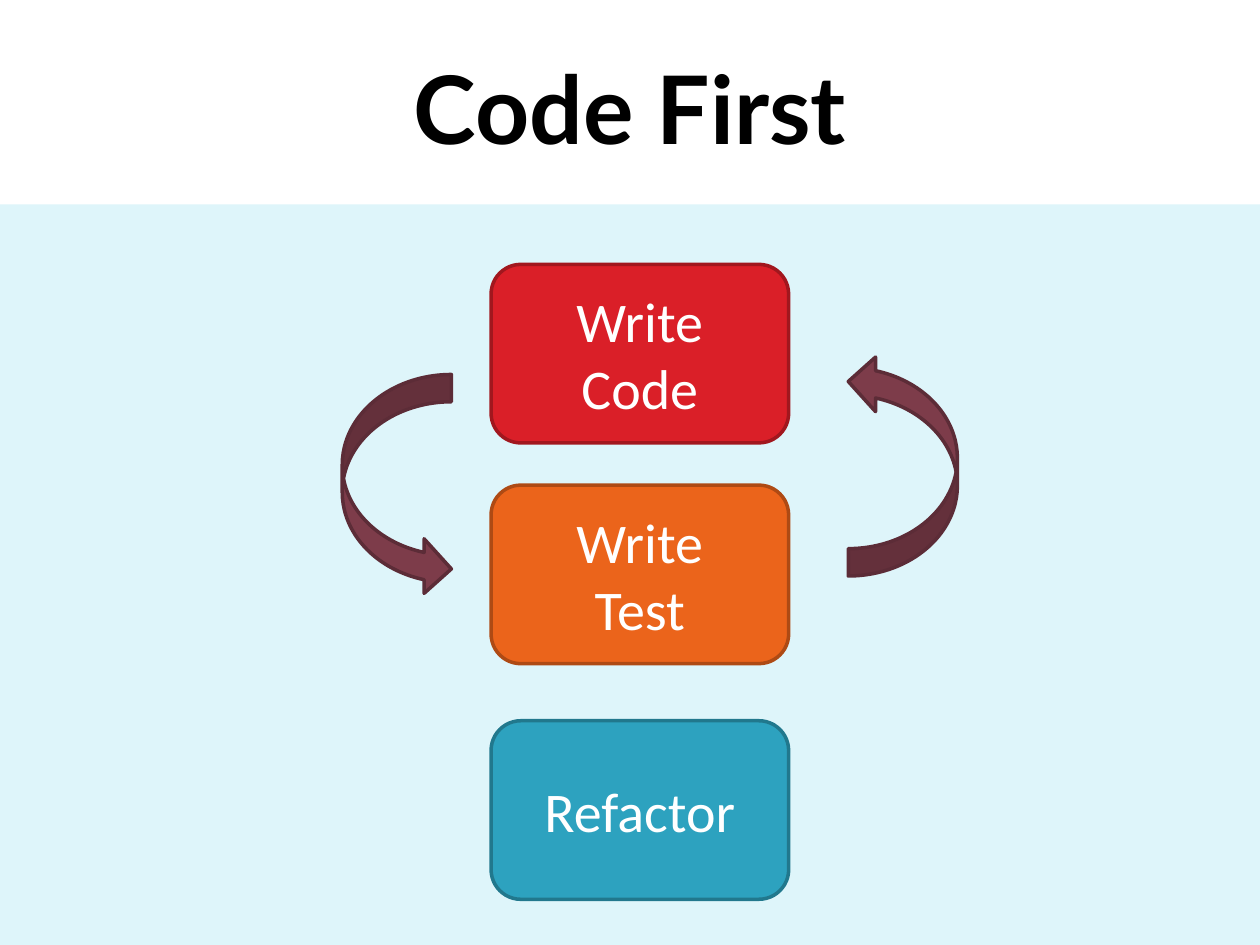
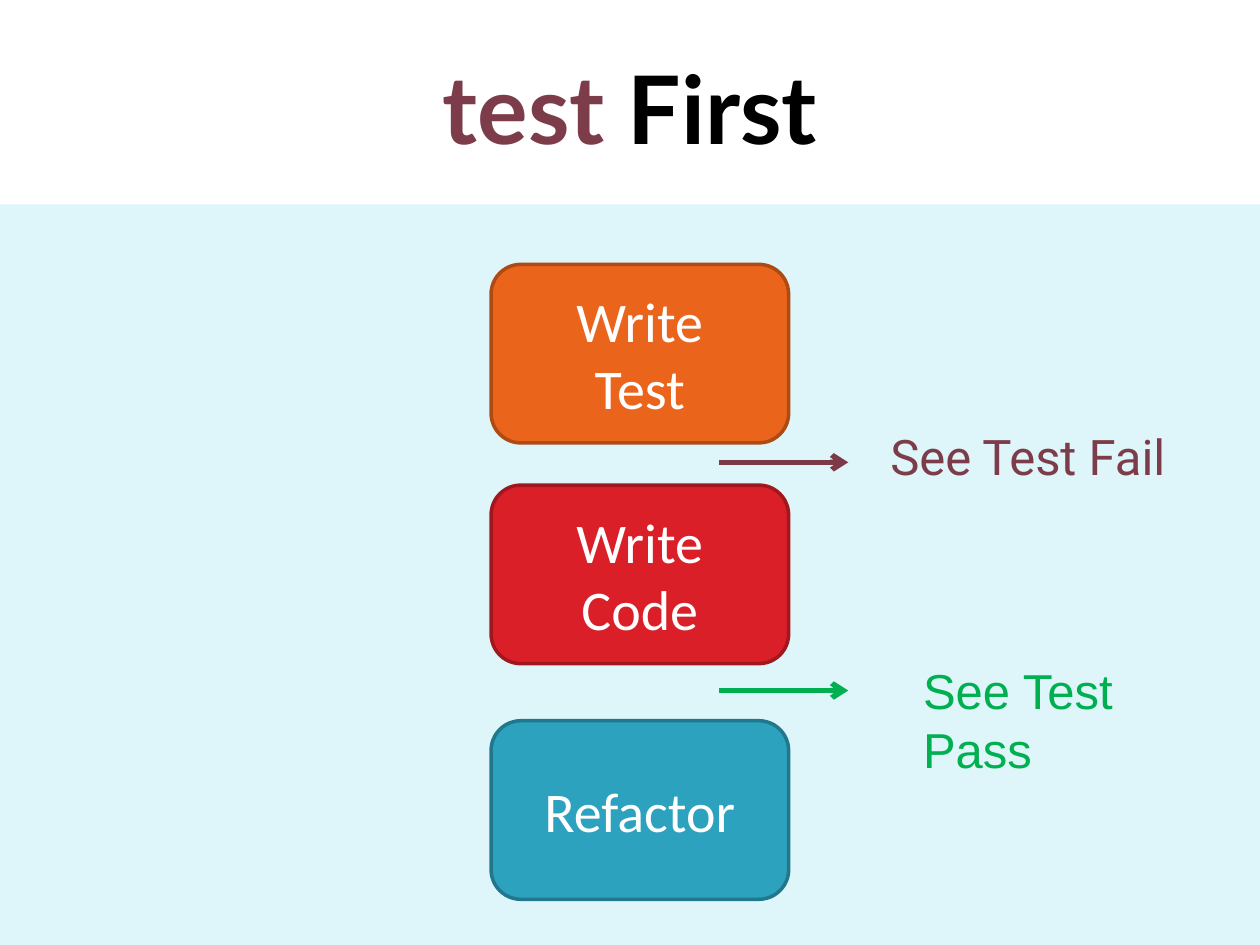
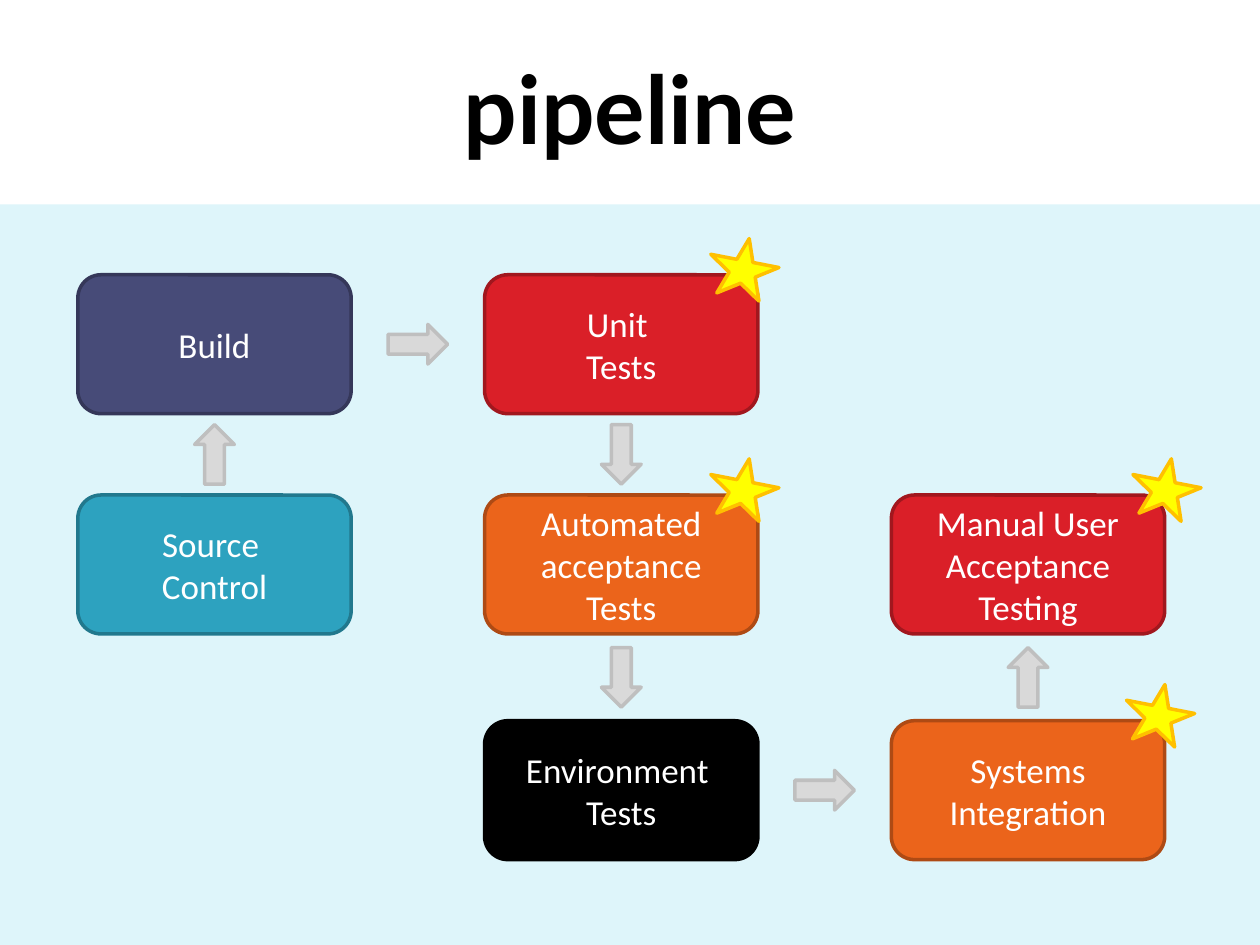
from lxml.etree import SubElement
from pptx import Presentation
from pptx.dml.color import RGBColor
from pptx.enum.shapes import MSO_CONNECTOR, MSO_SHAPE
from pptx.enum.text import MSO_ANCHOR, PP_ALIGN
from pptx.oxml.ns import qn
from pptx.util import Cm, Pt

WIDE, HIGH = 25.4, 19.05
BAND_TOP = 4.12
BLACK, WHITE, PALE, WINE = "000000", "FFFFFF", "DEF5FA", "7D3C4A"

# Fill and outline
RED = ("DA1F28", "A1171E")
ORANGE = ("EB641B", "AE4A14")
TEAL = ("2DA2BF", "21788D")
NAVY = ("474B78", "353759")
DARK = (BLACK, BLACK)
PLUM = (WINE, "5C2C37")
GREY = ("D9D9D9", "BFBFBF")
GOLD = ("FFFF00", "FFC000")

# Steps of the two cycles, top to bottom
CODE = (["Write", "Code"], RED)
TEST = (["Write", "Test"], ORANGE)
TIDY = (["Refactor"], TEAL)
STEP_LEFT, STEP_TOPS, STEP_SIZE = 9.9, (5.33, 9.78, 14.53), (6, 3.6)

# Left, top, turn
LOOPS = [(6.9, 7.55, 0), (17.1, 7.14, 180)]

# Arrow height and colour, then text, left, top, width, font and colour
RESULTS = [
    (9.32, "7C3947", "See Test Fail", 17.7, 8.48, 6.53, "Roboto", WINE),
    (13.92, "00B050", "See Test Pass", 18.36, 13.2, 5.23, "Arial", "00B050"),
]

# Column, row, lines, colours, star offset from the left of the box
STAGES = {
    "source": (0, 1, ["Source ", "Control"], TEAL, None),
    "build": (0, 0, ["Build"], NAVY, None),
    "unit": (1, 0, ["Unit ", "Tests"], RED, 4.52),
    "auto": (1, 1, ["Automated acceptance", "Tests"], ORANGE, 4.52),
    "env": (1, 2, ["Environment ", "Tests"], DARK, None),
    "systems": (2, 2, ["Systems Integration"], ORANGE, 4.7),
    "manual": (2, 1, ["Manual User Acceptance Testing"], RED, 4.83),
}
STAGE_LEFT, STAGE_STEP = 1.57, 8.2
STAGE_TOPS, STAGE_SIZE = (5.54, 9.98, 14.53), (5.51, 2.8)
ARROW, STAR, STAR_RISE = (1.2, 0.8), (1.4, 1.2), 0.74


def color(code):
    return RGBColor.from_string(code)


def write(shape, lines, size, face, ink, align=PP_ALIGN.CENTER,
          anchor=MSO_ANCHOR.MIDDLE, bold=False):
    frame = shape.text_frame
    frame.word_wrap = True
    frame.vertical_anchor = anchor
    frame.text = "\n".join(lines)
    for para in frame.paragraphs:
        para.alignment = align
        font = para.font
        font.size, font.name, font.bold = Pt(size), face, bold
        font.color.rgb = color(ink)


def draw(slide, kind, left, top, size, colors, turn=0):
    """Add a preset shape; colors holds a fill and, if any, an outline."""
    shape = slide.shapes.add_shape(
        kind, Cm(left), Cm(top), *(Cm(side) for side in size))
    shape.shadow.inherit = False
    shape.rotation = turn
    shape.fill.solid()
    shape.fill.fore_color.rgb = color(colors[0])
    if len(colors) > 1:
        shape.line.color.rgb = color(colors[1])
        shape.line.width = Pt(2)
    else:
        shape.line.fill.background()
    return shape


def box(slide, left, top, size, lines, colors, points):
    shape = draw(slide, MSO_SHAPE.ROUNDED_RECTANGLE, left, top, size, colors)
    write(shape, lines, points, "Calibri", WHITE)


def text_box(slide, left, top, wide, high):
    return slide.shapes.add_textbox(Cm(left), Cm(top), Cm(wide), Cm(high))


def pointer(slide, start, end, y, ink):
    line = slide.shapes.add_connector(
        MSO_CONNECTOR.STRAIGHT, Cm(start), Cm(y), Cm(end), Cm(y))
    line.line.color.rgb = color(ink)
    line.line.width = Pt(3)
    SubElement(line.line._get_or_add_ln(), qn("a:tailEnd"), type="arrow")
    SubElement(line._element.spPr, qn("a:effectLst"))


def new_slide(deck, *title):
    """Add a slide with its band and a title made of (text, colour) runs."""
    slide = deck.slides.add_slide(deck.slide_layouts[6])
    head = text_box(slide, 1.27, 0.56, 22.86, 3.18)
    write(head, [""], 54, "Lato", BLACK, bold=True)
    for text, ink in title:
        run = head.text_frame.paragraphs[0].add_run()
        run.text = text
        run.font.color.rgb = color(ink)
    draw(slide, MSO_SHAPE.RECTANGLE, 0, BAND_TOP,
         (WIDE, HIGH - BAND_TOP), (PALE,))
    return slide


def stack(slide, steps):
    for top, (lines, colors) in zip(STEP_TOPS, steps):
        box(slide, STEP_LEFT, top, STEP_SIZE, lines, colors, 32)


def code_first(deck):
    slide = new_slide(deck, ("Code First", BLACK))
    stack(slide, [CODE, TEST, TIDY])
    for left, top, turn in LOOPS:
        draw(slide, MSO_SHAPE.CURVED_RIGHT_ARROW, left, top,
             (2.2, 4.47), PLUM, turn)


def test_first(deck):
    slide = new_slide(deck, ("test", WINE), (" First", BLACK))
    stack(slide, [TEST, CODE, TIDY])
    for y, ink, text, left, top, wide, face, tone in RESULTS:
        pointer(slide, 14.5, 17.1, y, ink)
        write(text_box(slide, left, top, wide, 1.45), [text], 28, face, tone,
              PP_ALIGN.LEFT, MSO_ANCHOR.TOP)


def pipeline(deck):
    slide = new_slide(deck, ("pipeline", BLACK))
    wide, high = STAGE_SIZE
    spots = [(STAGE_LEFT + col * STAGE_STEP, STAGE_TOPS[row])
             for col, row, *_ in STAGES.values()]
    for (left, top), (*_, lines, colors, _) in zip(spots, STAGES.values()):
        box(slide, left, top, STAGE_SIZE, lines, colors, 20)
    for (x1, y1), (x2, y2) in zip(spots, spots[1:]):
        turn = 0 if x2 > x1 else 90 if y2 > y1 else 270
        draw(slide, MSO_SHAPE.RIGHT_ARROW, (x1 + x2 + wide - ARROW[0]) / 2,
             (y1 + y2 + high - ARROW[1]) / 2, ARROW, GREY, turn)
    for (left, top), (*_, shift) in zip(spots, STAGES.values()):
        if shift:
            draw(slide, MSO_SHAPE.STAR_5_POINT, left + shift,
                 top - STAR_RISE, STAR, GOLD, 11)


def main():
    deck = Presentation()
    deck.slide_width, deck.slide_height = Cm(WIDE), Cm(HIGH)
    code_first(deck)
    test_first(deck)
    pipeline(deck)
    deck.save("out.pptx")


if __name__ == "__main__":
    main()
